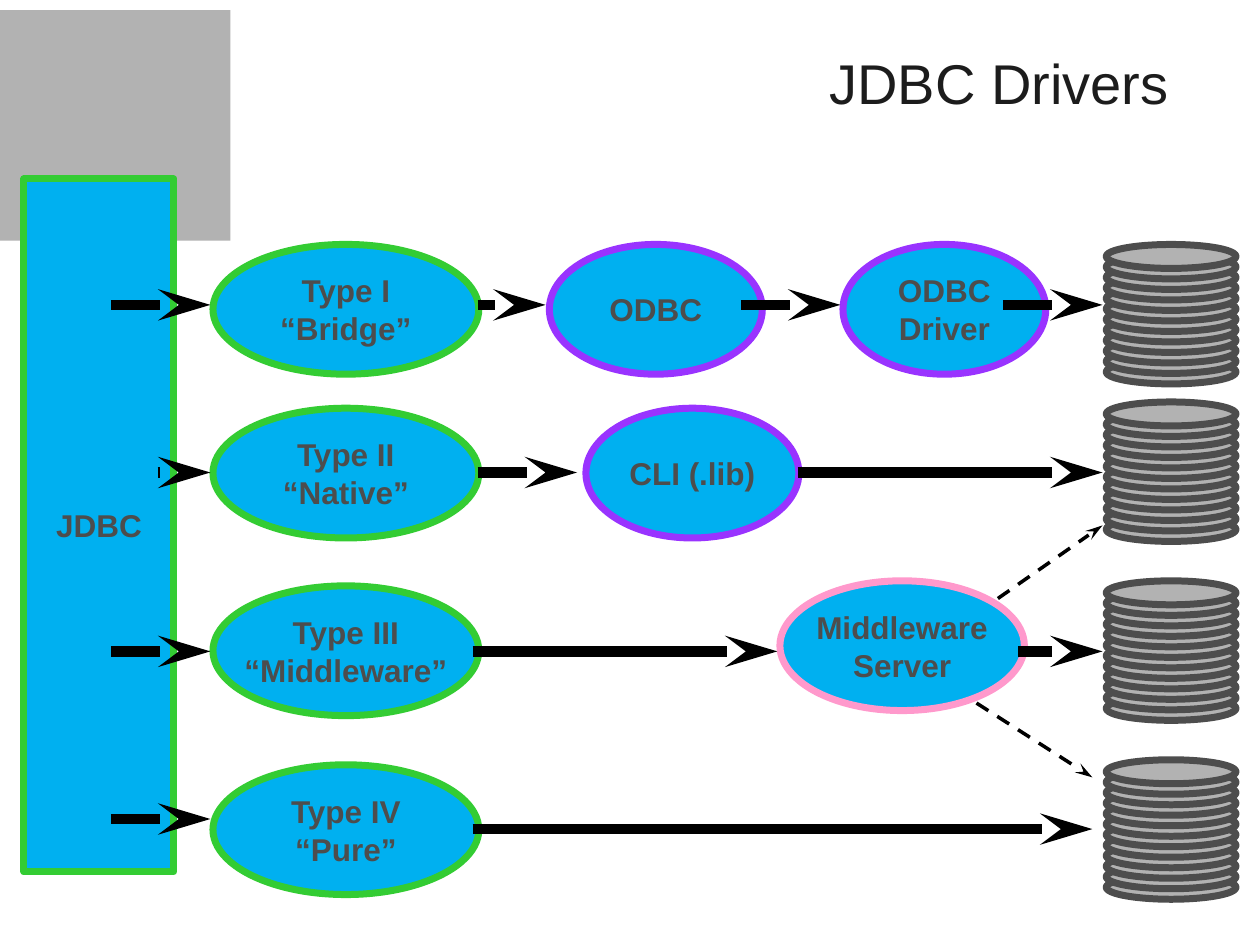
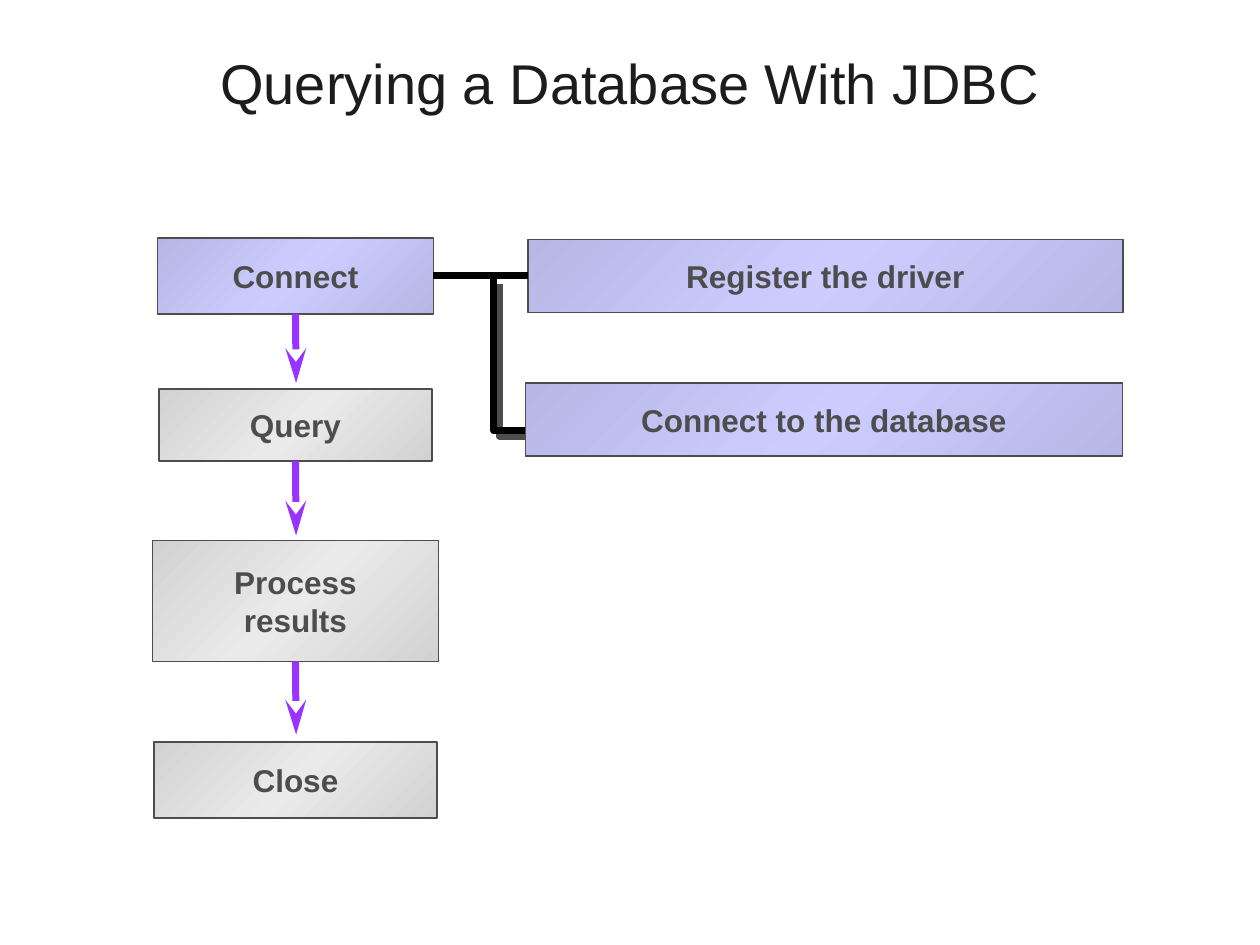
import copy

import pptx
import pptx.dml.color
import pptx.enum.dml
import pptx.enum.shapes
import pptx.enum.text
import pptx.oxml
import pptx.oxml.ns
import pptx.util

Inches = pptx.util.Inches
Pt = pptx.util.Pt
RGBColor = pptx.dml.color.RGBColor
MSO_SHAPE = pptx.enum.shapes.MSO_SHAPE
PP_ALIGN = pptx.enum.text.PP_ALIGN
qn = pptx.oxml.ns.qn

FONT = "Arial"
TITLE_INK = RGBColor(0x1C, 0x1C, 0x1C)
INK = RGBColor(0x4D, 0x4D, 0x4D)
BLACK = RGBColor(0x00, 0x00, 0x00)
GRAY = RGBColor(0xB2, 0xB2, 0xB2)
SKY = RGBColor(0x00, 0xB0, 0xF0)
GREEN = RGBColor(0x33, 0xCC, 0x33)
PURPLE = RGBColor(0x99, 0x33, 0xFF)
PINK = RGBColor(0xFF, 0x99, 0xCC)
LAVENDER = (RGBColor(0xB7, 0xB7, 0xE5), RGBColor(0xCC, 0xCC, 0xFF))
SILVER = (RGBColor(0xD2, 0xD2, 0xD2), RGBColor(0xEA, 0xEA, 0xEA))

ELLIPSE_HEIGHT = 1.03
DISK_COUNT = 12
DISK_STEP = 1 / 12


def drawing_xml(tag, attributes="", content=""):
    namespace = pptx.oxml.ns.nsdecls("a")
    return pptx.oxml.parse_xml(f"<a:{tag} {namespace} {attributes}>{content}</a:{tag}>")


def write(frame, text, size=18, color=INK, bold=True, align=PP_ALIGN.CENTER,
          before=0, wrap=False):
    """Fill a text frame; a newline starts a paragraph, a vertical tab a line."""
    frame.word_wrap = wrap
    frame.vertical_anchor = pptx.enum.text.MSO_ANCHOR.MIDDLE
    frame.text = text
    for paragraph in frame.paragraphs:
        paragraph.alignment = align
        paragraph.space_before = Pt(before)
        for run in paragraph.runs:
            run.font.name = FONT
            run.font.size = Pt(size)
            run.font.bold = bold
            run.font.color.rgb = color


def add_titled_slide(deck, title, align):
    slide = deck.slides.add_slide(deck.slide_layouts[5])
    heading = slide.shapes.title
    heading.left, heading.top = Inches(0.5), Inches(0.3)
    heading.width, heading.height = Inches(9), Inches(0.7)
    write(heading.text_frame, title, size=32, color=TITLE_INK, bold=False,
          align=align, wrap=True)
    return slide


def add_block(shapes, kind, box, fill, outline=None, weight=4):
    """Draw a preset shape; a pair of colours gives a diagonal gradient."""
    block = shapes.add_shape(kind, *map(Inches, box))
    block.shadow.inherit = False
    if isinstance(fill, RGBColor):
        block.fill.solid()
        block.fill.fore_color.rgb = fill
    else:
        edge, middle = fill
        block.fill.gradient()
        block.fill.gradient_angle = 315
        stop_list = block._element.spPr.find(".//" + qn("a:gsLst"))
        stop_list.append(copy.deepcopy(stop_list[0]))
        for stop, color, position in zip(block.fill.gradient_stops,
                                         (edge, middle, edge), (0, 0.5, 1)):
            stop.color.rgb = color
            stop.position = position
    if outline is None:
        block.line.fill.background()
    else:
        block.line.color.rgb = outline
        block.line.width = Pt(weight)
    return block


def add_ellipse(slide, text, left, top, width, outline):
    ellipse = add_block(slide.shapes, MSO_SHAPE.OVAL,
                        (left, top, width, ELLIPSE_HEIGHT), SKY, outline)
    write(ellipse.text_frame, text)


def add_database(slide, top):
    """Stack disks from the bottom up."""
    disks = slide.shapes.add_group_shape().shapes
    for level in reversed(range(DISK_COUNT)):
        add_block(disks, MSO_SHAPE.OVAL,
                  (8.78, top + level * DISK_STEP, 1.03, 0.19), GRAY, INK)


def add_line(slide, start, end, color=BLACK, weight=6, dashed=False, arrow=True):
    line = slide.shapes.add_connector(pptx.enum.shapes.MSO_CONNECTOR.STRAIGHT,
                                      *map(Inches, (*start, *end)))
    line.line.color.rgb = color
    line.line.width = Pt(weight)
    if dashed:
        line.line.dash_style = pptx.enum.dml.MSO_LINE.DASH
    properties = line._element.spPr
    if arrow:
        properties.find(qn("a:ln")).append(
            drawing_xml("tailEnd", 'type="stealth" w="med" len="lg"'))
    properties.append(drawing_xml("effectLst"))
    return line


def add_step(slide, text, box, fill):
    step = add_block(slide.shapes, MSO_SHAPE.RECTANGLE, box, fill, INK, weight=1)
    write(step.text_frame, text, before=11.2)
    return step


def add_branch(slide):
    """Draw the bent, shadowed line to the second part of Connect."""
    builder = slide.shapes.build_freeform(Inches(3.92), Inches(2.21))
    corners = [(3.92, 3.42), (4.5, 3.42)]
    builder.add_line_segments([(Inches(x), Inches(y)) for x, y in corners], close=False)
    branch = builder.convert_to_shape()
    branch.fill.background()
    branch.line.color.rgb = BLACK
    branch.line.width = Pt(4)
    branch.shadow.inherit = False
    branch._element.spPr.find(qn("a:effectLst")).append(drawing_xml(
        "outerShdw", f'blurRad="0" dist="{Pt(4.2)}" dir="2700000"',
        f'<a:srgbClr val="{INK}"/>'))


def build_drivers(deck):
    slide = add_titled_slide(deck, "JDBC Drivers ", PP_ALIGN.RIGHT)
    add_block(slide.shapes, MSO_SHAPE.RECTANGLE, (0, 0.08, 1.83, 1.83), GRAY)
    jdbc = add_block(slide.shapes, MSO_SHAPE.RECTANGLE, (0.19, 1.42, 1.19, 5.5), SKY, GREEN)
    write(jdbc.text_frame, "JDBC")

    # Driver types
    for text, top in (("Type I\n“Bridge”", 1.94), ("Type II\n“Native”", 3.24),
                      ("Type III\n“Middleware”", 4.65), ("Type IV\n“Pure”", 6.07)):
        add_ellipse(slide, text, 1.69, top, 2.11, GREEN)

    # Layers between driver and database
    add_ellipse(slide, "ODBC", 4.36, 1.94, 1.69, PURPLE)
    add_ellipse(slide, "ODBC\nDriver", 6.69, 1.94, 1.61, PURPLE)
    add_ellipse(slide, "CLI (.lib)", 4.65, 3.24, 1.69, PURPLE)
    add_ellipse(slide, "Middleware\nServer", 6.19, 4.61, 1.94, PINK)

    for top in (1.94, 3.19, 4.61, 6.03):
        add_database(slide, top)

    # Level arrows: height, then start and end of each
    arrow_rows = {
        2.42: [(0.88, 1.67), (3.79, 4.33), (5.88, 6.67), (7.96, 8.75)],
        3.75: [(1.25, 1.67), (3.79, 4.58), (6.33, 8.75)],
        5.17: [(0.88, 1.67), (3.75, 6.17), (8.08, 8.75)],
        6.5: [(0.88, 1.67)],
        6.58: [(3.75, 8.67)],
    }
    for y, spans in arrow_rows.items():
        for start, end in spans:
            add_line(slide, (start, y), (end, y))

    # Middleware reaches the other databases
    add_line(slide, (7.92, 4.75), (8.75, 4.17), weight=2, dashed=True)
    add_line(slide, (7.75, 5.58), (8.67, 6.17), weight=2, dashed=True)


def build_query_steps(deck):
    slide = add_titled_slide(deck, "Querying a Database With JDBC", PP_ALIGN.CENTER)
    add_branch(slide)

    # Main steps
    connect = add_step(slide, "Connect", (1.25, 1.89, 2.19, 0.6), LAVENDER)
    query = add_step(slide, "Query", (1.26, 3.09, 2.17, 0.57), SILVER)
    process = add_step(slide, "Process\vresults", (1.21, 4.29, 2.27, 0.96), SILVER)
    add_step(slide, "Close", (1.22, 5.89, 2.25, 0.6), SILVER)

    # Parts of Connect
    register = add_step(slide, "Register the driver", (4.19, 1.9, 4.72, 0.58), LAVENDER)
    add_step(slide, "Connect to the database", (4.17, 3.04, 4.74, 0.58), LAVENDER)
    link = add_line(slide, (3.44, 2.19), (4.19, 2.19), weight=4, arrow=False)
    link.begin_connect(connect, 3)
    link.end_connect(register, 1)

    # Arrows stop just above the next step
    for step, start, end in ((connect, 2.49, 3.04), (query, 3.66, 4.25),
                             (process, 5.25, 5.83)):
        arrow = add_line(slide, (2.35, start), (2.35, end), color=PURPLE, weight=4)
        arrow.begin_connect(step, 2)


def main():
    deck = pptx.Presentation()
    deck.slide_width, deck.slide_height = Inches(10), Inches(7.5)
    build_drivers(deck)
    build_query_steps(deck)
    deck.save("out.pptx")


if __name__ == "__main__":
    main()
